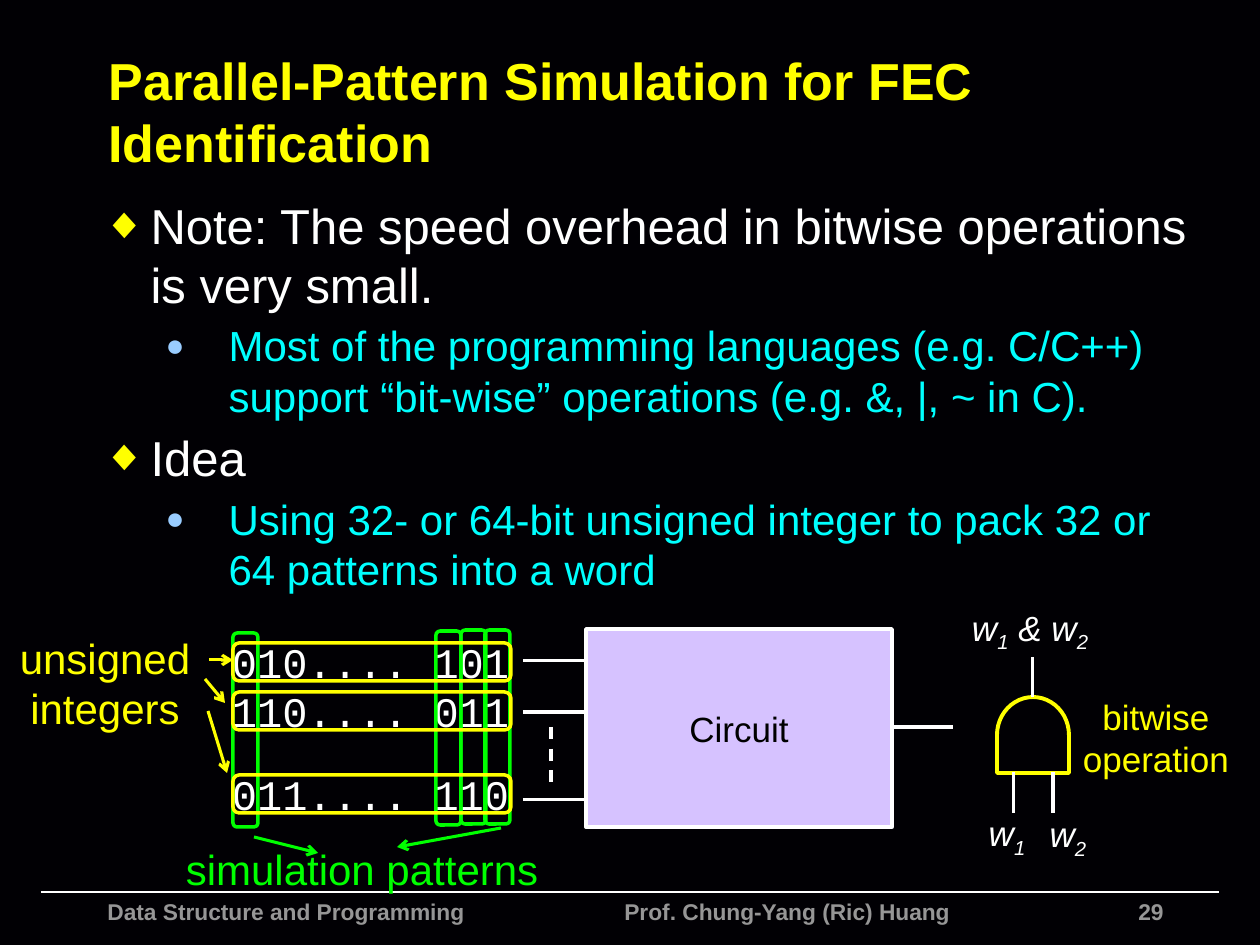
from lxml import etree
from pptx import Presentation
from pptx.dml.color import RGBColor
from pptx.enum.dml import MSO_LINE
from pptx.enum.shapes import MSO_CONNECTOR, MSO_SHAPE
from pptx.enum.text import MSO_ANCHOR, MSO_AUTO_SIZE, PP_ALIGN
from pptx.oxml.ns import qn
from pptx.util import Emu, Pt

EMU_PER_PX = 914400 / 126
LEFT, CENTER, RIGHT = PP_ALIGN.LEFT, PP_ALIGN.CENTER, PP_ALIGN.RIGHT
MIDDLE, TOP = MSO_ANCHOR.MIDDLE, MSO_ANCHOR.TOP
DASH = MSO_LINE.DASH
STRAIGHT = MSO_CONNECTOR.STRAIGHT
RECT, ROUNDED = MSO_SHAPE.RECTANGLE, MSO_SHAPE.ROUNDED_RECTANGLE
AND_GATE = MSO_SHAPE.FLOWCHART_DELAY
COLORS = {
    "background": "010004", "white": "FFFFFF", "black": "000000",
    "yellow": "FFFF00", "green": "00FF00", "cyan": "00FFFF",
    "sky": "99CCFF", "lilac": "D6C2FF", "gray": "969696",
}
# Per outline level: bullet, bullet colour, bullet %, text colour, size, margin, hanging
LEVELS = [
    ("◆", "yellow", 90, "white", 28, 48, 48),
    ("●", "sky", 75, "cyan", 24, 126, 63),
]


def px(length):
    return Emu(round(length * EMU_PER_PX))


def rgb(name):
    return RGBColor.from_string(COLORS[name])


class SlideBuilder:
    def __init__(self, slide):
        self.slide = slide
        self.shapes = slide.shapes
        slide.background.fill.solid()
        slide.background.fill.fore_color.rgb = rgb("background")

    def style(self, paragraph, size, color, align=LEFT, font="Arial",
              bold=False, italic=False):
        paragraph.alignment = align
        paragraph.font.name = font
        paragraph.font.size = Pt(size)
        paragraph.font.bold = bold
        paragraph.font.italic = italic
        paragraph.font.color.rgb = rgb(color)

    def place(self, placeholder, box, anchor):
        placeholder.left, placeholder.top, placeholder.width, placeholder.height = map(px, box)
        placeholder.text_frame.auto_size = MSO_AUTO_SIZE.NONE
        placeholder.text_frame.vertical_anchor = anchor
        return placeholder.text_frame

    def title(self, text, box):
        frame = self.place(self.shapes.title, box, MIDDLE)
        frame.text = text
        self.style(frame.paragraphs[0], 29.7, "yellow", bold=True)

    def outline(self, items, box):
        frame = self.place(self.slide.placeholders[1], box, TOP)
        frame.text = "\n".join(text for _, text in items)
        for paragraph, (level, _) in zip(frame.paragraphs, items):
            bullet, bullet_color, percent, color, size, margin, hanging = LEVELS[level]
            paragraph.level = level
            paragraph.space_before = Pt(4)
            self.bullet(paragraph, bullet, bullet_color, percent, margin, hanging)
            self.style(paragraph, size, color)

    def bullet(self, paragraph, char, color, percent, margin, hanging):
        properties = paragraph._p.get_or_add_pPr()
        properties.set("marL", str(px(margin)))
        properties.set("indent", str(-px(hanging)))
        bullet_color = etree.SubElement(properties, qn("a:buClr"))
        etree.SubElement(bullet_color, qn("a:srgbClr"), val=COLORS[color])
        etree.SubElement(properties, qn("a:buSzPct"), val=str(percent * 1000))
        etree.SubElement(properties, qn("a:buFont"), typeface="Arial")
        etree.SubElement(properties, qn("a:buChar"), char=char)

    def text(self, text, box, size, color, align=CENTER, wrap=True, **font):
        frame = self.shapes.add_textbox(*map(px, box)).text_frame
        frame.word_wrap = wrap
        frame.text = text
        self.style(frame.paragraphs[0], size, color, align, **font)

    def formula(self, parts, box):
        """Italic text in which every second part is a subscript."""
        frame = self.shapes.add_textbox(*map(px, box)).text_frame
        frame.word_wrap = False
        paragraph = frame.paragraphs[0]
        for index, part in enumerate(parts):
            run = paragraph.add_run()
            run.text = part
            if index % 2:
                run.font._element.set("baseline", "-25000")
        self.style(paragraph, 20, "white", CENTER, italic=True)

    def shape(self, kind, box, line, width=2, fill=None, label=None, rotation=0):
        shape = self.shapes.add_shape(kind, *map(px, box))
        shape.shadow.inherit = False
        shape.rotation = rotation
        shape.line.color.rgb = rgb(line)
        shape.line.width = Pt(width)
        if fill:
            shape.fill.solid()
            shape.fill.fore_color.rgb = rgb(fill)
        else:
            shape.fill.background()
        if label:
            shape.text_frame.text = label
            shape.text_frame.vertical_anchor = MIDDLE
            self.style(shape.text_frame.paragraphs[0], 20, "black", CENTER)

    def line(self, ends, color="white", width=1.75, arrow=False, dash=None):
        connector = self.shapes.add_connector(STRAIGHT, *map(px, ends))
        connector.line.color.rgb = rgb(color)
        connector.line.width = Pt(width)
        if dash:
            connector.line.dash_style = dash
        if arrow:
            etree.SubElement(connector.line._get_or_add_ln(), qn("a:tailEnd"), type="arrow")
        etree.SubElement(connector._element.spPr, qn("a:effectLst"))


def draw_footer(builder):
    builder.line((41, 892, 1219, 892), width=1)
    for text, left, width, align in [
        ("Data Structure and Programming", 95, 420, LEFT),
        ("Prof. Chung-Yang (Ric) Huang", 612, 400, LEFT),
        ("29", 1050, 126, RIGHT),
    ]:
        builder.text(text, (left, 892, width, 40), 13, "gray", align, bold=True)


def draw_patterns(builder):
    word_tops = (643, 692, 775)
    for bits, top in zip(("010.... 101", "110.... 011", "011.... 110"), word_tops):
        builder.text(bits, (218, top - 13, 305, 64), 24, "white", wrap=False,
                     font="Courier New")
    for left, top in ((485, 630), (461, 630), (436, 631), (233, 633)):
        builder.shape(ROUNDED, (left, top, 25, 194), "green")
    for top in word_tops:
        builder.shape(ROUNDED, (233, top, 278, 38), "yellow")

    builder.text("unsigned integers", (7, 626, 196, 115), 24, "yellow")
    for ends in ((209, 660, 233, 660), (205, 679, 225, 703), (208, 711, 227, 773)):
        builder.line(ends, "yellow", arrow=True)
    builder.text("simulation patterns", (170, 837, 384, 64), 24, "green")
    for ends in ((254, 837, 318, 853), (501, 828, 397, 847)):
        builder.line(ends, "green", arrow=True)


def draw_circuit(builder):
    builder.shape(RECT, (586, 629, 306, 198), "white", fill="lilac", label="Circuit")
    for y in (661, 712, 800):
        builder.line((523, y, 585, y))
    builder.line((551, 727, 551, 788), dash=DASH)
    builder.line((891, 727, 953, 727))


def draw_gate(builder):
    builder.shape(AND_GATE, (995, 699, 76, 72), "yellow", 2.25, rotation=270)
    for x, top, bottom in ((1014, 772, 813), (1053, 772, 813), (1033, 657, 697)):
        builder.line((x, top, x, bottom))
    builder.formula(("w", "1"), (975, 805, 64, 55))
    builder.formula(("w", "2"), (1036, 806, 64, 55))
    builder.formula(("w", "1", " & w", "2"), (957, 600, 146, 55))
    builder.text("bitwise operation", (1063, 689, 186, 97), 20, "yellow")


def main():
    presentation = Presentation()
    presentation.slide_width, presentation.slide_height = px(1260), px(945)
    slide = presentation.slides.add_slide(presentation.slide_layouts[1])
    builder = SlideBuilder(slide)
    builder.title("Parallel-Pattern Simulation for FEC Identification", (96, 47, 1114, 127))
    builder.outline([
        (0, "Note: The speed overhead in bitwise operations is very small."),
        (1, "Most of the programming languages (e.g. C/C++) support “bit-wise” "
            "operations (e.g. &, |, ~ in C)."),
        (0, "Idea"),
        (1, "Using 32- or 64-bit unsigned integer to pack 32 or 64 patterns into a word"),
    ], (90, 189, 1120, 651))
    draw_footer(builder)
    draw_patterns(builder)
    draw_circuit(builder)
    draw_gate(builder)
    presentation.save("out.pptx")


if __name__ == "__main__":
    main()
